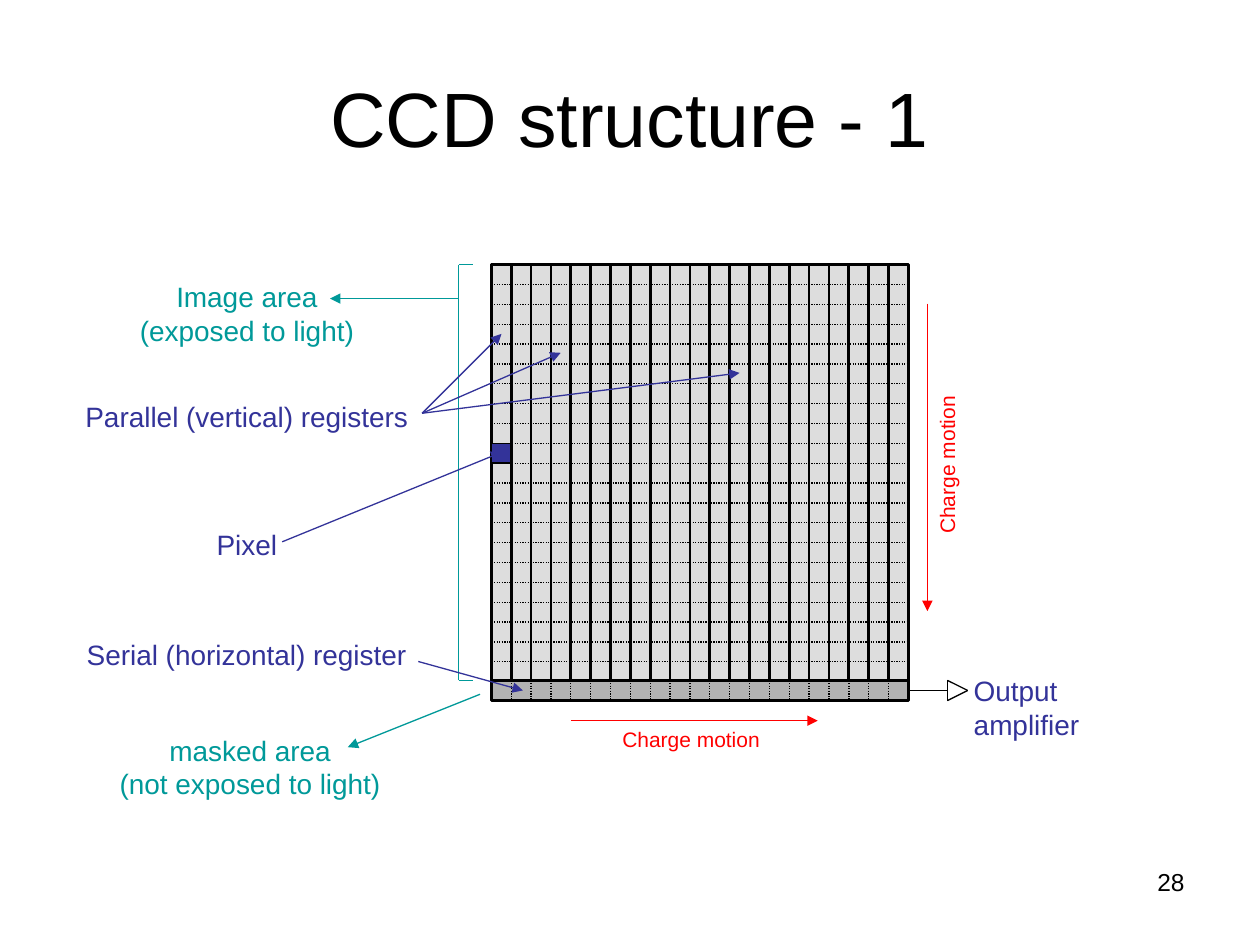
from pptx import Presentation
from pptx.dml.color import RGBColor
from pptx.enum.dml import MSO_LINE
from pptx.enum.shapes import MSO_CONNECTOR, MSO_SHAPE
from pptx.enum.text import MSO_ANCHOR, PP_ALIGN
from pptx.oxml.ns import qn
from pptx.util import Inches, Pt
from lxml import etree

STRAIGHT = MSO_CONNECTOR.STRAIGHT
RECTANGLE = MSO_SHAPE.RECTANGLE
DOTTED = MSO_LINE.ROUND_DOT
MIDDLE = MSO_ANCHOR.MIDDLE
LEFT, CENTER, RIGHT = PP_ALIGN.LEFT, PP_ALIGN.CENTER, PP_ALIGN.RIGHT

BLACK, RED, BLUE, TEAL = "000000", "FF0000", "333399", "009999"
IMAGE_GRAY, SERIAL_GRAY = "DDDDDD", "B2B2B2"
FONT = "Arial"

CELLS = 21
GRID_LEFT, GRID_TOP, GRID_SIZE = 3.9, 2.1, 3.31
GRID_RIGHT = GRID_LEFT + GRID_SIZE
CELL = GRID_SIZE / CELLS
SERIAL_TOP, SERIAL_BOTTOM = 5.4, 5.56


def color(hex_string):
    return RGBColor.from_string(hex_string)


def format_font(p, size, hex_string):
    for name, value in {"name": FONT, "size": Pt(size)}.items():
        setattr(p.font, name, value)
    p.font.color.rgb = color(hex_string)


def add_title(s, text):
    title = s.shapes.title
    box = {"left": 0.5, "top": 0.3, "width": 9, "height": 1.25}
    for name, value in box.items():
        setattr(title, name, Inches(value))
    tf = title.text_frame
    tf.text = text
    tf.vertical_anchor = MIDDLE
    p = tf.paragraphs[0]
    p.alignment = CENTER
    format_font(p, 44, BLACK)


def add_label(s, text, box, hex_string, size=16, align=LEFT, rotation=0, wrap=False):
    sp = s.shapes.add_textbox(*map(Inches, box))
    sp.rotation = rotation
    tf = sp.text_frame
    tf.word_wrap = wrap
    tf.text = text
    for p in tf.paragraphs:
        p.alignment = align
        format_font(p, size, hex_string)


def add_rect(s, box, fill, line_width=1.5):
    sp = s.shapes.add_shape(RECTANGLE, *map(Inches, box))
    sp.shadow.inherit = False
    sp.fill.solid()
    sp.fill.fore_color.rgb = color(fill)
    sp.line.color.rgb = color(BLACK)
    sp.line.width = Pt(line_width)
    return sp


def add_line(s, start, end, hex_string, dash=None, arrow=False):
    line = s.shapes.add_connector(STRAIGHT, *map(Inches, (*start, *end)))
    line.line.color.rgb = color(hex_string)
    line.line.width = Pt(0.75)
    if dash:
        line.line.dash_style = dash
    if arrow:
        ln = line.line._get_or_add_ln()
        etree.SubElement(ln, qn("a:tailEnd"), type="triangle")
    etree.SubElement(line._element.spPr, qn("a:effectLst"))
    return line


def add_path(s, points, hex_string):
    for start, end in zip(points, points[1:]):
        add_line(s, start, end, hex_string)


def add_detector(s):
    """Draw the image area, the serial register below it and one marked pixel."""
    for i in range(CELLS):
        add_rect(s, (GRID_LEFT + i * CELL, GRID_TOP, CELL, GRID_SIZE), IMAGE_GRAY)
    serial = add_rect(
        s, (GRID_LEFT, SERIAL_TOP, GRID_SIZE, SERIAL_BOTTOM - SERIAL_TOP), SERIAL_GRAY)
    for i in range(1, CELLS):
        x, y = GRID_LEFT + i * CELL, GRID_TOP + i * CELL
        add_line(s, (GRID_LEFT, y), (GRID_RIGHT, y), BLACK, DOTTED)
        add_line(s, (x, SERIAL_TOP), (x, SERIAL_BOTTOM), BLACK, DOTTED)
    add_rect(s, (GRID_LEFT, GRID_TOP + 9 * CELL, CELL, CELL), BLUE, 0.75)
    return serial


def add_amplifier(s, serial):
    left, right, middle = 7.52, 7.68, (SERIAL_TOP + SERIAL_BOTTOM) / 2
    wire = add_line(s, (GRID_RIGHT, middle), (left, middle), BLACK)
    wire.begin_connect(serial, 3)
    top, tip, bottom = (left, SERIAL_TOP), (right, middle), (left, SERIAL_BOTTOM)
    add_path(s, [top, bottom, tip, top], BLACK)


def main():
    prs = Presentation()
    prs.slide_width, prs.slide_height = Inches(10), Inches(7.5)
    s = prs.slides.add_slide(prs.slide_layouts[5])
    add_title(s, "CCD structure - 1")
    add_label(s, "28", (7.17, 6.83, 2.33, 0.52), BLACK, 14, RIGHT, wrap=True)

    serial = add_detector(s)
    add_amplifier(s, serial)
    bracket = [(3.75, SERIAL_TOP), (3.64, SERIAL_TOP), (3.64, GRID_TOP), (3.75, GRID_TOP)]
    add_path(s, bracket, TEAL)

    registers = (3.35, 3.28)
    for start, end, hex_string in [
        ((7.36, 2.41), (7.36, 4.85), RED),
        ((4.53, 5.72), (6.49, 5.72), RED),
        (registers, (3.98, 2.65), BLUE),
        (registers, (4.45, 2.8), BLUE),
        (registers, (5.87, 2.96), BLUE),
        ((2.24, 4.3), (3.98, 3.59), BLUE),
        ((3.32, 5.25), (4.15, 5.48), BLUE),
        ((3.64, 2.37), (2.62, 2.37), TEAL),
        ((3.81, 5.51), (2.76, 5.93), TEAL),
    ]:
        add_line(s, start, end, hex_string, arrow=True)

    for text, box in [
        ("Parallel (vertical) registers", (0.58, 3.12, 2.76, 0.37)),
        ("Pixel", (1.62, 4.14, 0.68, 0.37)),
        ("Serial (horizontal) register", (0.59, 5.01, 2.74, 0.37)),
        ("Output amplifier", (7.63, 5.3, 1.76, 0.37)),
    ]:
        add_label(s, text, box, BLUE)
    for text, box in [
        ("Image area\n(exposed to light)", (1.01, 2.17, 1.9, 0.64)),
        ("masked area\n(not exposed to light)", (0.85, 5.77, 2.27, 0.64)),
    ]:
        add_label(s, text, box, TEAL, align=CENTER)
    for box, rotation in [((4.84, 5.72, 1.29, 0.3), 0), ((6.87, 3.54, 1.29, 0.3), 270)]:
        add_label(s, "Charge motion", box, RED, 12, rotation=rotation)

    prs.save("out.pptx")


if __name__ == "__main__":
    main()
